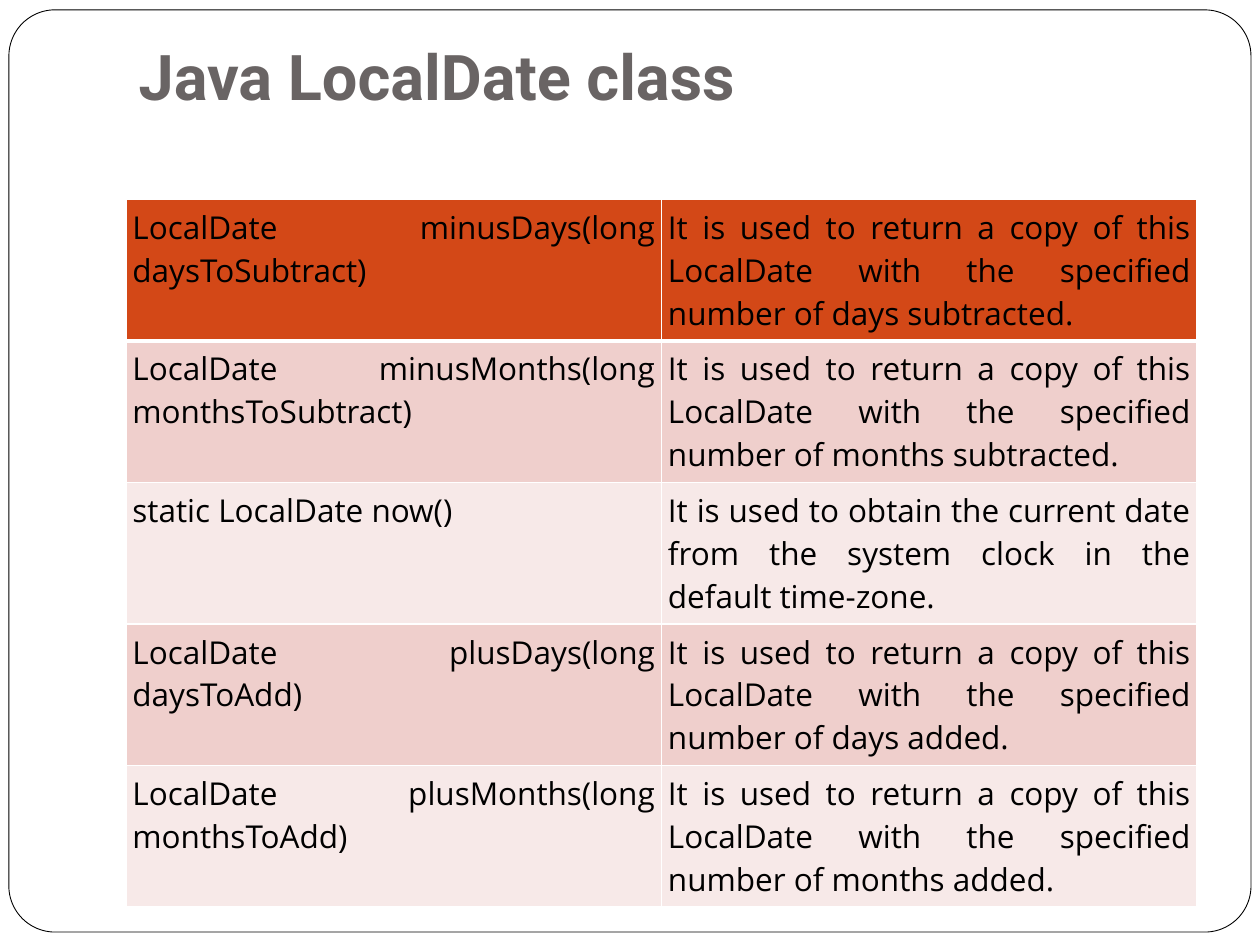
from lxml.etree import SubElement
from pptx import Presentation
from pptx.dml.color import RGBColor
from pptx.enum.shapes import MSO_SHAPE as Shape
from pptx.enum.text import MSO_ANCHOR as Anchor, PP_ALIGN as Align
from pptx.oxml.ns import qn
from pptx.util import Cm, Pt

TITLE = "Java LocalDate class"
COPY = "It is used to return a copy of this LocalDate with the specified number of "
METHODS = [
    ("LocalDate minusDays(long daysToSubtract)", COPY + "days subtracted."),
    ("LocalDate minusMonths(long monthsToSubtract)", COPY + "months subtracted."),
    ("static LocalDate now()",
     "It is used to obtain the current date from the system clock in the default time-zone."),
    ("LocalDate plusDays(long daysToAdd)", COPY + "days added."),
    ("LocalDate plusMonths(long monthsToAdd)", COPY + "months added."),
]
HEADER, BANDS = "D34817", ("F7E9E8", "EFCFCC")
LEFT, WIDTH, ROW_HEIGHT = 2.54, 21.59, 2.55


def paint(fmt, color):
    """Give a fill a solid colour."""
    fmt.solid()
    fmt.fore_color.rgb = RGBColor.from_string(color)


def write(tf, text, size=18, font="Open Sans", color="000000", bold=False, align=Align.JUSTIFY):
    """Write one formatted paragraph into a text frame."""
    p = tf.paragraphs[0]
    p.alignment = align
    r = p.add_run()
    r.text = text
    r.font.size, r.font.name, r.font.bold = Pt(size), font, bold
    paint(r.font.fill, color)


def set_borders(cell, bottom, color="FFFFFF"):
    """Draw the four borders of a cell, the lower one with its own width."""
    tc_pr = cell._tc.get_or_add_tcPr()
    for side, width in (("L", 1), ("R", 1), ("T", 1), ("B", bottom)):
        ln = SubElement(tc_pr, qn(f"a:ln{side}"), w=str(Pt(width)))
        SubElement(SubElement(ln, qn("a:solidFill")), qn("a:srgbClr"), val=color)


def add_frame(s):
    """Add the rounded page frame behind the title."""
    sp = s.shapes.add_shape(Shape.ROUNDED_RECTANGLE, Cm(0.18), Cm(0.2), Cm(25.04), Cm(18.59))
    sp.adjustments[0] = 0.05
    sp.shadow.inherit = False
    paint(sp.fill, "FFFFFF")
    paint(sp.line.fill, "000000")
    sp.line.width = Pt(0.5)
    s.shapes.title._element.addprevious(sp._element)


def add_title(s):
    """Place and fill the title."""
    sp = s.shapes.title
    sp.left, sp.top, sp.width, sp.height = Cm(LEFT), Cm(0.76), Cm(WIDTH), Cm(3.18)
    tf = sp.text_frame
    tf.vertical_anchor, tf.margin_top = Anchor.TOP, 0
    write(tf, TITLE, size=36, font="Roboto", color="696464", bold=True, align=Align.LEFT)


def add_methods(s):
    """Add the table of methods."""
    table = s.shapes.add_table(len(METHODS), 2, Cm(LEFT), Cm(4.02), Cm(WIDTH),
                               Cm(ROW_HEIGHT * len(METHODS))).table
    for i, row in enumerate(METHODS):
        for j, text in enumerate(row):
            cell = table.cell(i, j)
            cell.margin_left = cell.margin_right = Cm(0.13)
            cell.margin_top = cell.margin_bottom = Cm(0.13)
            set_borders(cell, bottom=1 if i else 3)
            paint(cell.fill, BANDS[i % 2] if i else HEADER)
            write(cell.text_frame, text)


def main():
    """Build and save the slide."""
    prs = Presentation()
    prs.slide_width, prs.slide_height = Cm(25.4), Cm(19.05)
    s = prs.slides.add_slide(prs.slide_layouts[5])
    add_frame(s)
    add_title(s)
    add_methods(s)
    prs.save("out.pptx")


if __name__ == "__main__":
    main()
